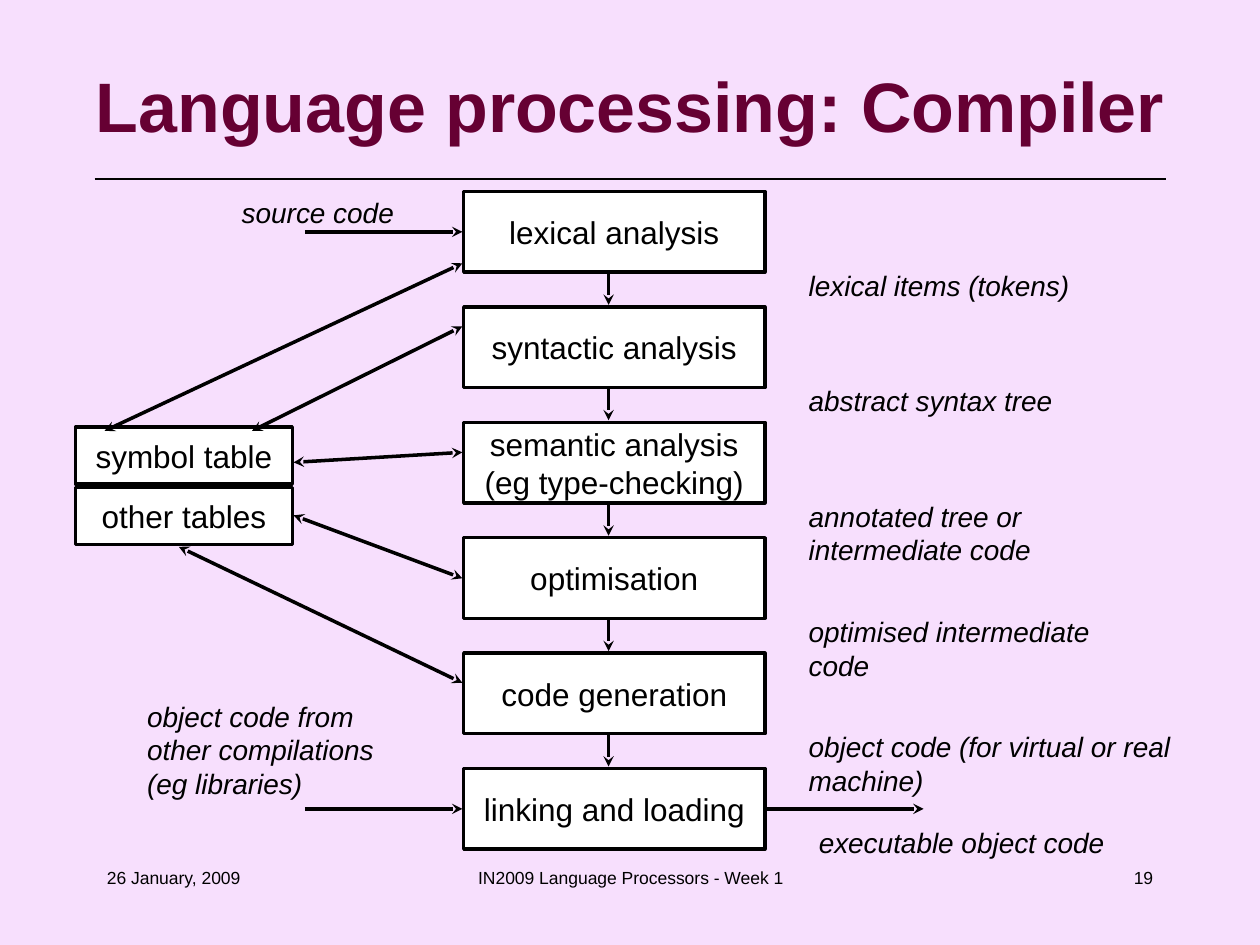
from dataclasses import dataclass

import pptx
import pptx.dml.color
import pptx.enum.shapes
import pptx.enum.text
import pptx.oxml
import pptx.oxml.ns
import pptx.util
from pptx.util import Inches

COLORS = {"background": "F7DFFD", "title": "660033", "ink": "000000", "box": "FFFFFF"}
FONT = "Arial"
ALIGN = pptx.enum.text.PP_ALIGN
ANCHOR = pptx.enum.text.MSO_ANCHOR

STAGE_LEFT, STAGE_TOP, STAGE_W, STAGE_H = 3.68, 1.52, 2.39, 0.64
PITCH = 4.58 / 5
TABLE_LEFT, TABLE_TOP, TABLE_W, TABLE_H, TABLE_PITCH = 0.6, 3.39, 1.72, 0.45, 0.48
FLOW_X, FLOW_TOP, FLOW_LENGTH = 4.83, 2.17, 0.25
RESULT_LEFT, RESULT_TOP = 6.32, 2.08
FOOTER_TOP, FOOTER_H = 6.83, 0.5


@dataclass
class Text:
    lines: list[str]
    left: float
    top: float
    width: float
    height: float
    size: int = 16
    color: str = "ink"
    bold: bool = False
    italic: bool = False
    align: ALIGN = ALIGN.LEFT
    anchor: ANCHOR = ANCHOR.TOP
    wrap: bool = False


@dataclass
class Line:
    x1: float
    y1: float
    x2: float
    y2: float
    width: float = 2
    head: bool = False
    tail: bool = True


def rgb(name: str) -> pptx.dml.color.RGBColor:
    return pptx.dml.color.RGBColor.from_string(COLORS[name])


def write_text(sp, text: Text) -> None:
    tf = sp.text_frame
    tf.word_wrap = text.wrap
    tf.vertical_anchor = text.anchor
    for i, line in enumerate(text.lines):
        p = tf.paragraphs[0] if i == 0 else tf.add_paragraph()
        p.alignment = text.align
        r = p.add_run()
        r.text = line
        r.font.name = FONT
        r.font.size = pptx.util.Pt(text.size)
        r.font.bold = text.bold
        r.font.italic = text.italic
        r.font.color.rgb = rgb(text.color)


def draw_text(s, text: Text) -> None:
    sp = s.shapes.add_textbox(Inches(text.left), Inches(text.top),
                              Inches(text.width), Inches(text.height))
    write_text(sp, text)


def draw_box(s, text: Text) -> None:
    sp = s.shapes.add_shape(pptx.enum.shapes.MSO_SHAPE.RECTANGLE,
                            Inches(text.left), Inches(text.top),
                            Inches(text.width), Inches(text.height))
    sp.shadow.inherit = False
    sp.fill.solid()
    sp.fill.fore_color.rgb = rgb("box")
    sp.line.color.rgb = rgb("ink")
    sp.line.width = pptx.util.Pt(2)
    write_text(sp, text)


def draw_line(s, line: Line) -> None:
    sp = s.shapes.add_connector(pptx.enum.shapes.MSO_CONNECTOR.STRAIGHT,
                                Inches(line.x1), Inches(line.y1),
                                Inches(line.x2), Inches(line.y2))
    sp.line.color.rgb = rgb("ink")
    sp.line.width = pptx.util.Pt(line.width)
    ln = sp.line._get_or_add_ln()
    for tag, shown in (("a:headEnd", line.head), ("a:tailEnd", line.tail)):
        if shown:
            end = pptx.oxml.ns.qn(tag)
            ln.append(ln.makeelement(end, {"type": "stealth"}))
    sppr = sp._element.spPr
    sppr.append(sppr.makeelement(pptx.oxml.ns.qn("a:effectLst"), {}))


def box_text(lines: list[str], left: float, top: float, width: float, height: float) -> Text:
    return Text(lines, left, top, width, height, size=18,
                align=ALIGN.CENTER, anchor=ANCHOR.MIDDLE)


def label_text(lines: list[str], left: float, top: float, width: float) -> Text:
    return Text(lines, left, top, width, 0.1 + 0.27 * len(lines), italic=True)


STAGES = [
    ["lexical analysis"],
    ["syntactic analysis"],
    ["semantic analysis", "(eg type-checking)"],
    ["optimisation"],
    ["code generation"],
    ["linking and loading"],
]
RESULTS = [
    (["lexical items (tokens)"], 2.27),
    (["abstract syntax tree"], 2.14),
    (["annotated tree or", "intermediate code"], 1.96),
    (["optimised intermediate", "code"], 2.43),
    (["object code (for virtual or real", "machine)"], 3.07),
]
LABELS = [
    label_text(["source code"], 1.82, 1.5, 1.41),
    label_text(["executable object code"], 6.4, 6.5, 2.47),
    label_text(["object code from", "other compilations", "(eg libraries)"], 1.07, 5.5, 2),
]
INPUTS_AND_OUTPUT = [
    Line(2.42, 1.84, 3.67, 1.84),
    Line(2.42, 6.42, 3.67, 6.42),
    Line(6.08, 6.42, 7.33, 6.42),
]
TABLE_LINKS = [
    (2.09, 0.83, 3.42),
    (2.59, 2, 3.42),
    (3.59, 2.33, 3.67),
    (4.59, 2.33, 4.09),
    (5.42, 1.42, 4.34),
]
FOOTERS = [
    ("26 January, 2009", 0.75, 2.08, ALIGN.LEFT),
    ("IN2009 Language Processors - Week 1", 3.42, 3.17, ALIGN.CENTER),
    ("19", 7.17, 2.08, ALIGN.RIGHT),
]


def main() -> None:
    prs = pptx.Presentation()
    prs.slide_width, prs.slide_height = Inches(10), Inches(7.5)
    s = prs.slides.add_slide(prs.slide_layouts[6])
    s.background.fill.solid()
    s.background.fill.fore_color.rgb = rgb("background")

    draw_line(s, Line(0.75, 1.42, 9.25, 1.42, width=0.75, tail=False))
    draw_text(s, Text(["Language processing: Compiler"], 0.5, 0.33, 9, 1, size=40,
                      color="title", bold=True, align=ALIGN.CENTER,
                      anchor=ANCHOR.MIDDLE, wrap=True))

    for i, lines in enumerate(STAGES):
        draw_box(s, box_text(lines, STAGE_LEFT, STAGE_TOP + i * PITCH, STAGE_W, STAGE_H))
    for i, (lines, width) in enumerate(RESULTS):
        y = FLOW_TOP + i * PITCH
        draw_line(s, Line(FLOW_X, y, FLOW_X, y + FLOW_LENGTH))
        draw_text(s, label_text(lines, RESULT_LEFT, RESULT_TOP + i * PITCH, width))
    for label in LABELS:
        draw_text(s, label)
    for i, name in enumerate(["symbol table", "other tables"]):
        draw_box(s, box_text([name], TABLE_LEFT, TABLE_TOP + i * TABLE_PITCH,
                             TABLE_W, TABLE_H))
    for line in INPUTS_AND_OUTPUT:
        draw_line(s, line)
    for stage_y, table_x, table_y in TABLE_LINKS:
        draw_line(s, Line(3.67, stage_y, table_x, table_y, head=True))
    for words, left, width, align in FOOTERS:
        draw_text(s, Text([words], left, FOOTER_TOP, width, FOOTER_H, size=10,
                          align=align, wrap=True))

    prs.save("out.pptx")


if __name__ == "__main__":
    main()
